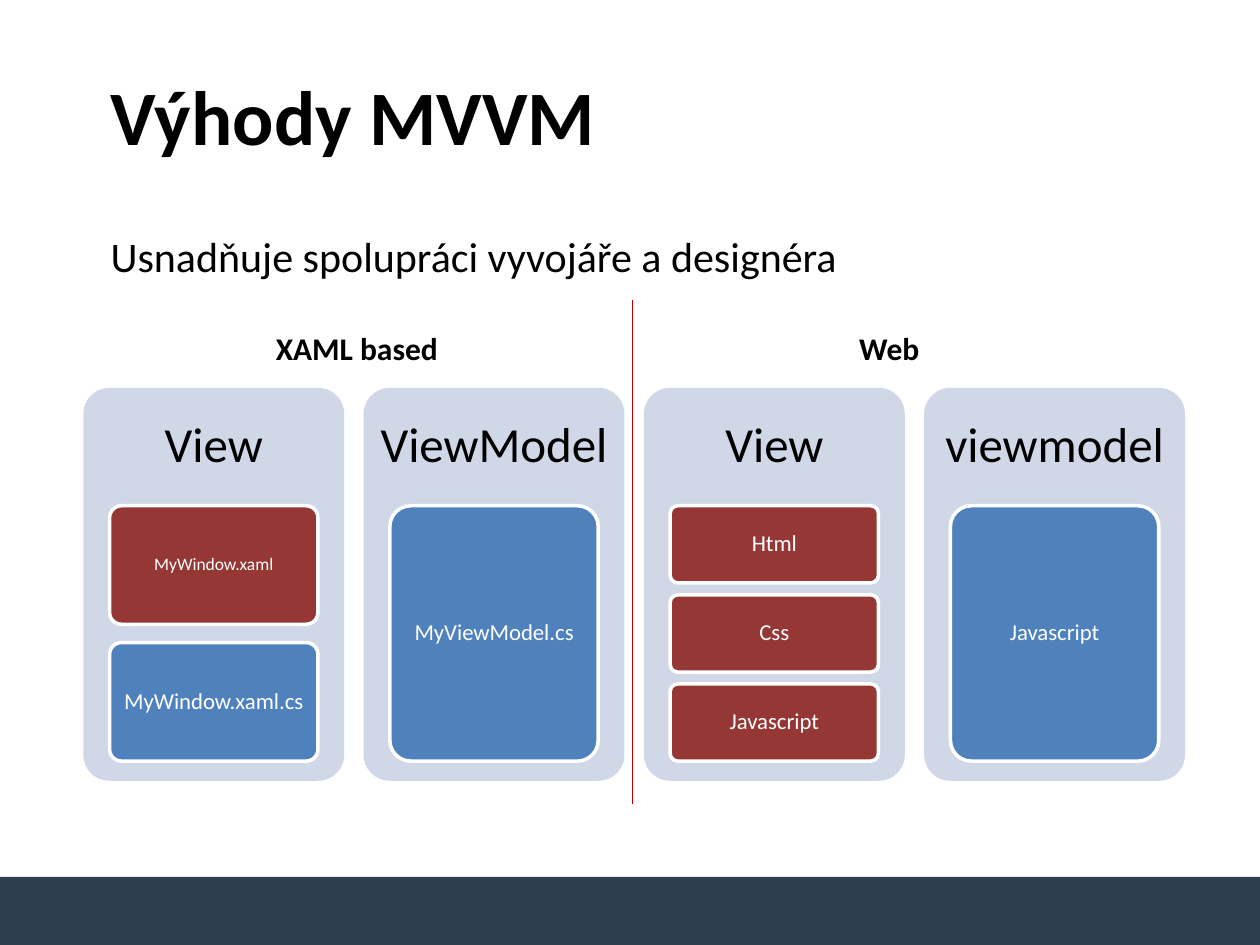
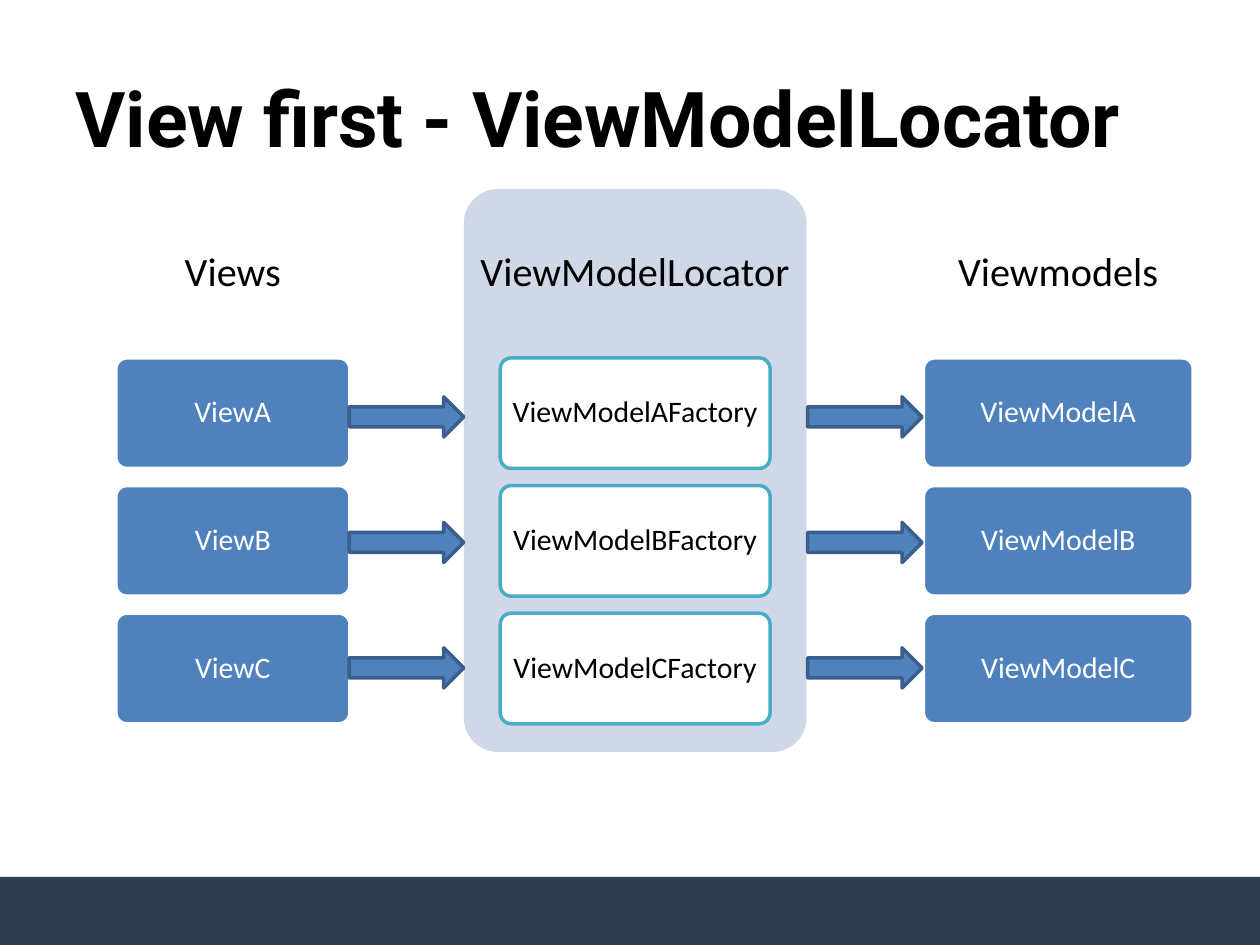
from pptx import Presentation
from pptx.dml.color import RGBColor
from pptx.enum import shapes, text
from pptx.oxml import parse_xml
from pptx.oxml.ns import nsdecls
from pptx.util import Cm, Pt

BLACK = RGBColor(0x00, 0x00, 0x00)
WHITE = RGBColor(0xFF, 0xFF, 0xFF)
NAVY = RGBColor(0x2C, 0x3E, 0x50)
PALE = RGBColor(0xD0, 0xD8, 0xE8)
BLUE = RGBColor(0x4F, 0x81, 0xBD)
DARK = RGBColor(0x3A, 0x5F, 0x8C)
RED = RGBColor(0x95, 0x37, 0x35)
CRIMSON = RGBColor(0xC0, 0x00, 0x00)
TEAL = RGBColor(0x4B, 0xAC, 0xC6)

KIND = shapes.MSO_SHAPE
LEFT, CENTER = text.PP_ALIGN.LEFT, text.PP_ALIGN.CENTER
TOP, MIDDLE = text.MSO_ANCHOR.TOP, text.MSO_ANCHOR.MIDDLE

# Box styles: fill, line, text colour
CODE = (BLUE, WHITE, WHITE)
MARKUP = (RED, WHITE, WHITE)
FACTORY = (WHITE, TEAL, BLACK)

# Slide 1 columns: heading, boxes as (label, style, size)
ROLES = [
    ("View", [("MyWindow.xaml", MARKUP, 10), ("MyWindow.xaml.cs", CODE, 13)]),
    ("ViewModel", [("MyViewModel.cs", CODE, 13)]),
    ("View", [(name, MARKUP, 13) for name in ("Html", "Css", "Javascript")]),
    ("viewmodel", [("Javascript", CODE, 13)]),
]
# Group labels: text, left, width
SIDES = [("XAML based", 5.31, 3.81), ("Web", 17.07, 1.73)]

# Slide 2 columns: heading, label pattern, style, panel fill, left, width, box width
STAGES = [
    ("Views", "View{}", CODE, None, 1.75, 5.89, 4.72),
    ("ViewModelLocator", "ViewModel{}Factory", FACTORY, PALE, 9.35, 6.91, 5.44),
    ("Viewmodels", "ViewModel{}", CODE, None, 17.93, 6.81, 5.44),
]
ARROWS = [7.04, 16.28]


def write(shape, words, size, color, font="Calibri", bold=False,
          align=CENTER, anchor=MIDDLE, inset=None, wrap=True, space=0.9):
    frame = shape.text_frame
    frame.text = words
    frame.word_wrap = wrap
    frame.vertical_anchor = anchor
    if inset is not None:
        frame.margin_left = frame.margin_right = Cm(inset)
        frame.margin_top = frame.margin_bottom = Cm(inset)
    para = frame.paragraphs[0]
    para.alignment = align
    para.line_spacing = space
    face = para.runs[0].font
    face.name, face.size, face.bold = font, Pt(size), bold
    face.color.rgb = color


def label(slide, words, x, y, w, h, size, **style):
    box = slide.shapes.add_textbox(Cm(x), Cm(y), Cm(w), Cm(h))
    write(box, words, size, BLACK, **style)


def draw(slide, kind, x, y, w, h, fill, line=None):
    shape = slide.shapes.add_shape(kind, Cm(x), Cm(y), Cm(w), Cm(h))
    shape.shadow.inherit = False
    shape.fill.solid()
    shape.fill.fore_color.rgb = fill
    if line is None:
        shape.line.fill.background()
    else:
        shape.line.color.rgb = line
        shape.line.width = Pt(2)
    if kind == KIND.ROUNDED_RECTANGLE:
        shape.adjustments[0] = 0.1
    return shape


def column(slide, head, size, boxes, x, y, w, h, inner, fill, inset):
    """Heading in the top 30 %, boxes stacked over the next 65 %."""
    if fill is not None:
        draw(slide, KIND.ROUNDED_RECTANGLE, x, y, w, h, fill)
    label(slide, head, x, y, w, 0.3 * h, size, inset=inset)
    count = len(boxes)
    gap = 0.154  # share of a box's height
    tall = 0.65 * h / (count + (count - 1) * gap)
    for i, (words, (back, edge, ink), points) in enumerate(boxes):
        box = draw(slide, KIND.ROUNDED_RECTANGLE, x + (w - inner) / 2,
                   y + 0.3 * h + i * tall * (1 + gap), inner, tall, back, edge)
        write(box, words, points, ink, inset=0.08, wrap=False)


def page(deck, title, x, y, w, h, font, space):
    slide = deck.slides.add_slide(deck.slide_layouts[6])
    draw(slide, KIND.RECTANGLE, 0, 17.68, 25.4, 1.42, NAVY)
    label(slide, title, x, y, w, h, 44, font=font, bold=True,
          align=LEFT, space=space)
    return slide


def benefits(deck):
    slide = page(deck, "Výhody MVVM", 1.98, 0.43, 21.59, 4.01, "Calibri", 0.9)
    label(slide, "Usnadňuje spolupráci vyvojáře a designéra",
          1.98, 4.52, 21.29, 2.06, 24, align=LEFT, anchor=TOP, space=1)
    for i, (head, boxes) in enumerate(ROLES):
        column(slide, head, 28, boxes, 1.68 + i * 5.65, 7.82, 5.26, 7.92,
               4.2, PALE, 0.3)
    rule = slide.shapes.add_connector(shapes.MSO_CONNECTOR.STRAIGHT,
                                      Cm(12.75), Cm(6.05), Cm(12.75), Cm(16.2))
    rule.line.color.rgb = CRIMSON
    rule.line.width = Pt(0.75)
    rule._element.spPr.append(parse_xml(f"<a:effectLst {nsdecls('a')}/>"))
    for words, x, w in SIDES:
        label(slide, words, x, 6.5, w, 1.02, 18, bold=True, align=LEFT,
              anchor=TOP, wrap=False, space=1)


def locator(deck):
    slide = page(deck, "View first - ViewModelLocator",
                 1.27, 0.76, 22.86, 3.18, "Roboto", 1)
    for head, form, style, fill, x, w, inner in STAGES:
        boxes = [(form.format(key), style, 17) for key in "ABC"]
        column(slide, head, 23, boxes, x, 3.81, w, 11.35, inner, fill, 0.25)
    for x in ARROWS:
        for row in range(3):
            draw(slide, KIND.RIGHT_ARROW, x, 8 + row * 2.53, 2.31, 0.81,
                 BLUE, DARK)


def main():
    deck = Presentation()
    deck.slide_width, deck.slide_height = Cm(25.4), Cm(19.05)
    benefits(deck)
    locator(deck)
    deck.save("out.pptx")


if __name__ == "__main__":
    main()
